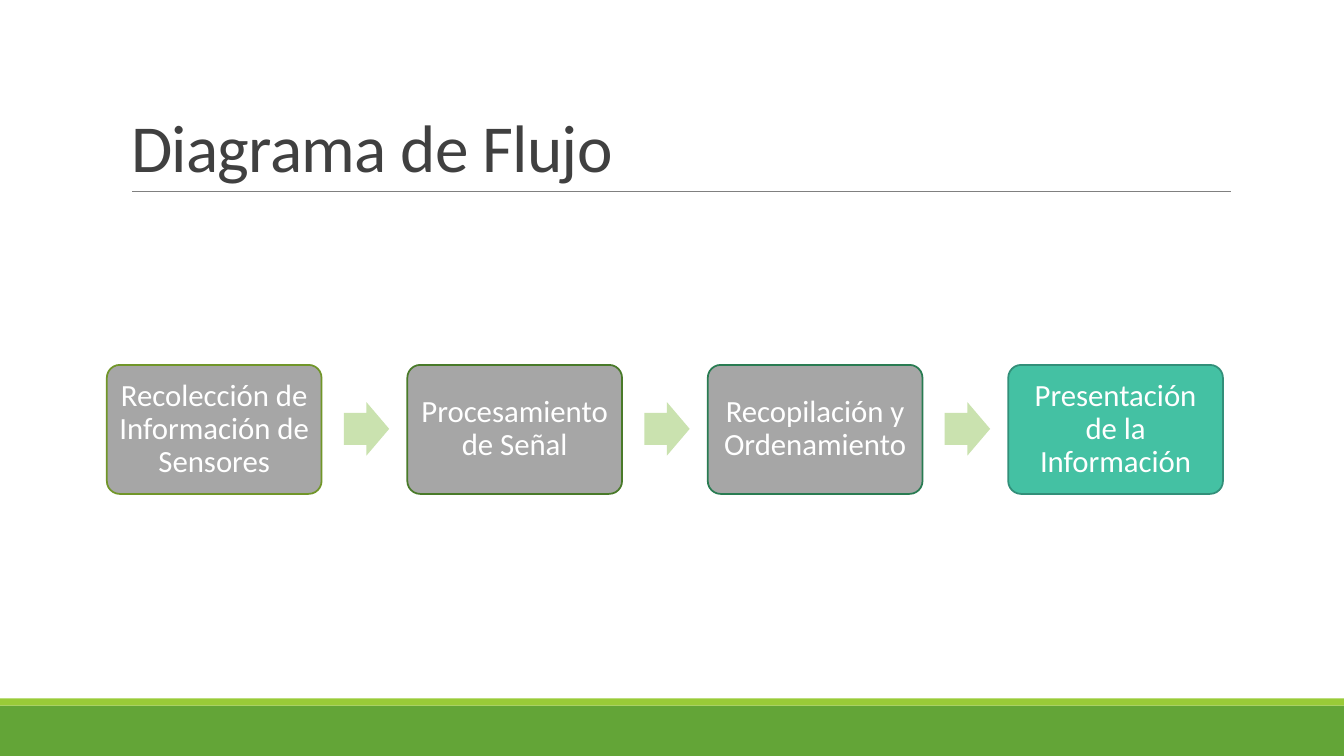
from dataclasses import dataclass

from pptx import Presentation
from pptx.dml.color import RGBColor
from pptx.enum.shapes import MSO_CONNECTOR, MSO_SHAPE
from pptx.enum.text import MSO_ANCHOR, MSO_AUTO_SIZE, PP_ALIGN
from pptx.util import Pt
from lxml.etree import SubElement
from pptx.oxml.ns import qn

PX = 9144


@dataclass(frozen=True)
class Theme:
    font: str = "Calibri"
    title_size: int = 48
    step_size: int = 22
    title: str = "404040"
    rule: str = "808080"
    band: str = "63A537"
    stripe: str = "99CB38"
    step: str = "A6A6A6"
    final_step: str = "44C1A3"
    arrow: str = "CAE2AF"
    step_text: str = "FFFFFF"


THEME = Theme()

STEPS = [
    ("Recolección de Información de Sensores", THEME.step, "719629"),
    ("Procesamiento de Señal", THEME.step, "497A29"),
    ("Recopilación y Ordenamiento", THEME.step, "297C52"),
    ("Presentación de la Información", THEME.final_step, "328F79"),
]


def px(*lengths):
    return [length * PX for length in lengths]


def color(code):
    return RGBColor.from_string(code)


def write(shape, text, *, size, ink, align, anchor, line_spacing, inset, tracking=0):
    frame = shape.text_frame
    frame.word_wrap = True
    frame.auto_size = MSO_AUTO_SIZE.NONE
    frame.vertical_anchor = anchor
    frame.margin_left = frame.margin_right = inset * PX
    frame.margin_top = frame.margin_bottom = 5 * PX
    para = frame.paragraphs[0]
    para.alignment = align
    para.line_spacing = line_spacing
    span = para.add_run()
    span.text = text
    span.font.name = THEME.font
    span.font.size = Pt(size)
    span.font.color.rgb = color(ink)
    if tracking:
        span.font._element.set("spc", str(tracking))


def add_block(page, kind, box, fill, line=None, adjustments=()):
    shape = page.shapes.add_shape(kind, *px(*box))
    shape.shadow.inherit = False
    shape.fill.solid()
    shape.fill.fore_color.rgb = color(fill)
    if line:
        shape.line.color.rgb = color(line)
        shape.line.width = Pt(1.25)
    else:
        shape.line.fill.background()
    for index, value in enumerate(adjustments):
        shape.adjustments[index] = value
    return shape


def add_footer(page, box):
    left, top, width, height = box
    stripe = 7
    add_block(page, MSO_SHAPE.RECTANGLE, (left, top + stripe, width, height - stripe), THEME.band)
    add_block(page, MSO_SHAPE.RECTANGLE, (left, top, width, stripe), THEME.stripe)


def add_heading(page, text, box):
    left, top, width, height = box
    title = page.shapes.title
    title.left, title.top, title.width, title.height = px(*box)
    write(title, text, size=THEME.title_size, ink=THEME.title, align=PP_ALIGN.LEFT,
          anchor=MSO_ANCHOR.BOTTOM, line_spacing=0.85, inset=10, tracking=-50)
    bottom = top + height
    rule = page.shapes.add_connector(
        MSO_CONNECTOR.STRAIGHT, *px(left + 11, bottom, left + width + 1, bottom))
    rule.line.color.rgb = color(THEME.rule)
    rule.line.width = Pt(0.5)
    SubElement(rule._element.spPr, qn("a:effectLst"))


def add_flow(page, steps, box):
    left, top, width, height = box
    step_width, arrow_width, arrow_height, arrow_gap = 213, 45, 53, 22
    pitch = (width - step_width) // (len(steps) - 1)
    for index, (text, fill, line) in enumerate(steps):
        step_left = left + index * pitch
        step = add_block(page, MSO_SHAPE.ROUNDED_RECTANGLE,
                         (step_left, top, step_width, height), fill, line, (0.1,))
        write(step, text, size=THEME.step_size, ink=THEME.step_text, align=PP_ALIGN.CENTER,
              anchor=MSO_ANCHOR.MIDDLE, line_spacing=0.9, inset=8)
        if index < len(steps) - 1:
            arrow_box = (step_left + step_width + arrow_gap,
                         top + (height - arrow_height) // 2, arrow_width, arrow_height)
            add_block(page, MSO_SHAPE.RIGHT_ARROW, arrow_box, THEME.arrow,
                      adjustments=(0.6, 0.5))


def main():
    deck = Presentation()
    deck.slide_width, deck.slide_height = px(1333, 750)
    page = deck.slides.add_slide(deck.slide_layouts[5])
    add_footer(page, (0, 693, 1333, 57))
    add_heading(page, "Diagrama de Flujo", (120, 31, 1100, 159))
    add_flow(page, STEPS, (106, 362, 1107, 128))
    deck.save("out.pptx")


if __name__ == "__main__":
    main()
